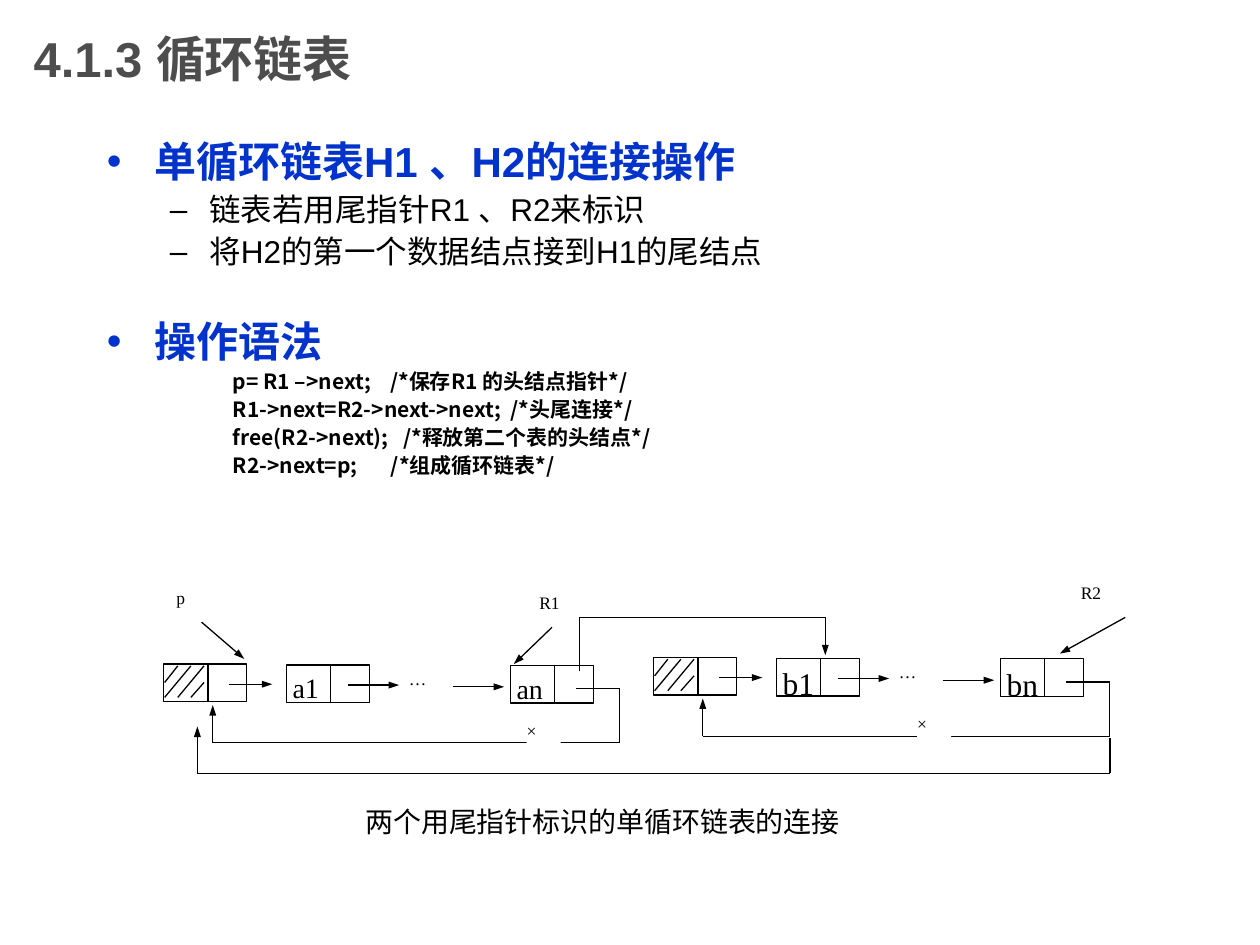
from itertools import pairwise

from pptx import Presentation
from pptx.dml.color import RGBColor
from pptx.enum import shapes as kinds, text as txt
from pptx.oxml import ns
from pptx.util import Pt
from lxml import etree

COLORS = {"title": "4D4D4D", "head": "0033CC", "ink": "000000", "paper": "FFFFFF"}
CJK = "Noto Sans CJK SC"
SERIF = "Times New Roman"

# level: left margin, first-line indent, bullet, space before, text format
LEVELS = [
    (27, -27, "•", 6, dict(size=24, color="head", bold=True)),
    (58.5, -22.5, "–", 4.5, dict(size=18)),
    (90, -18, None, 3, dict(size=12, font=CJK, bold=True)),
]
LINES = [
    (0, "单循环链表H1 、H2的连接操作"),
    (1, "链表若用尾指针R1 、R2来标识"),
    (1, "将H2的第一个数据结点接到H1的尾结点"),
    (0, "操作语法"),
    (2, "p= R1 –>next;    /*保存R1 的头结点指针*/"),
    (2, "R1->next=R2->next->next;  /*头尾连接*/"),
    (2, "free(R2->next);   /*释放第二个表的头结点*/"),
    (2, "R2->next=p;       /*组成循环链表*/"),
]
GAP = 29  # space between the two sections
NODE_W, NODE_H, SPLIT = 47.5, 21.5, 25.2


def rgb(name):
    return RGBColor.from_string(COLORS[name])


def write(para, words, size=10, font="Arial", color="ink", bold=False):
    run = para.add_run()
    run.text = words
    face = run.font
    face.size, face.name, face.bold = Pt(size), font, bold
    face.color.rgb = rgb(color)
    etree.SubElement(run.element if hasattr(run, "element") else run._r.rPr,
                     ns.qn("a:ea"), typeface=CJK)


def label(group, words, x, y, w, h, **form):
    box = group.add_textbox(Pt(x), Pt(y), Pt(w), Pt(h))
    box.fill.solid()
    box.fill.fore_color.rgb = rgb("paper")
    frame = box.text_frame
    frame.word_wrap = True
    frame.margin_left = frame.margin_right = 0
    frame.margin_top = frame.margin_bottom = 0
    write(frame.paragraphs[0], words, font=SERIF, **form)


def link(group, *points, arrow=False):
    """Join the points with straight lines; the last may carry an arrowhead."""
    for start, end in pairwise(points):
        line = group.add_connector(kinds.MSO_CONNECTOR.STRAIGHT,
                                   *map(Pt, (*start, *end)))
        line.line.width = Pt(0.75)
        line.line.color.rgb = rgb("ink")
        props = line.element.spPr
        if arrow and end == points[-1]:
            etree.SubElement(props.find(ns.qn("a:ln")), ns.qn("a:tailEnd"),
                             type="triangle", w="sm", len="med")
        etree.SubElement(props, ns.qn("a:effectLst"))


def node(group, x, y, words=None, size=16):
    box = group.add_shape(kinds.MSO_SHAPE.RECTANGLE,
                          Pt(x), Pt(y), Pt(NODE_W), Pt(NODE_H))
    box.shadow.inherit = False
    box.fill.solid()
    box.fill.fore_color.rgb = rgb("paper")
    box.line.color.rgb = rgb("ink")
    box.line.width = Pt(0.75)
    if words:
        label(group, words, x + 3.6, y + 3.4, 20, 16, size=size)
    link(group, (x + SPLIT, y), (x + SPLIT, y + NODE_H))


def hatch(group, x, y):
    left, one, two, right = (x + d for d in (0.5, 8, 15.5, 23))
    top, mid, low = (y + d for d in (1, 10.5, 19))
    for start, end in [((left, mid), (one, top)), ((left, low), (two, top)),
                       ((one, low), (right, top)), ((two, low), (right, mid))]:
        link(group, start, end)


def ring(group, x, y, first, last, size, cross):
    """Circular list: head node, first node, dots, last node and way back."""
    node(group, x, y)
    hatch(group, x, y)
    node(group, x + 70, y + 0.5, first, size)
    node(group, x + 198, y + 0.7, last, size)
    for start, end, drop in [(37, 62, 11.5), (105, 134.5, 12), (165, 194.5, 13)]:
        link(group, (x + start, y + drop), (x + end, y + drop), arrow=True)
    label(group, "…", x + 140, y + 2, 25, 21)
    link(group, (x + 235.5, y + 14), (x + 260.5, y + 14), (x + 260.5, y + 45),
         (x + 28, y + 45), (x + 28, y + 23.5), arrow=True)
    label(group, "×", x + cross, y + 31.7, 19.4, 25)


def diagram(slide, x, y):
    group = slide.shapes.add_group_shape().shapes
    ring(group, x, y + 44, "a1", "an", 16, 207.4)
    ring(group, x + 280, y + 40.2, "b1", "bn", 18, 150.5)
    for words, dx, dy in [("p", 7.2, 0), ("R1", 214.6, 3), ("R2", 524, -3)]:
        label(group, words, x + dx, y + dy, 22, 16)
    paths = [
        [(21.6, 20), (46, 41)],
        [(221.8, 23), (200, 44)],
        [(549.4, 17.3), (512, 38)],
        [(237.6, 48.2), (237.6, 17.3), (378, 17.3), (378, 39)],
        [(540.7, 86.4), (540.7, 106.5), (19.2, 106.5), (19.2, 79.7)],
    ]
    for route in paths:
        link(group, *((x + dx, y + dy) for dx, dy in route), arrow=True)
    label(group, "两个用尾指针标识的单循环链表的连接", x + 115.2, y + 124, 275, 21, size=16)


def heading(slide, x, y, w, h):
    title = slide.shapes.title
    title.left, title.top, title.width, title.height = map(Pt, (x, y, w, h))
    frame = title.text_frame
    frame.vertical_anchor = txt.MSO_ANCHOR.MIDDLE
    para = frame.paragraphs[0]
    para.alignment = txt.PP_ALIGN.LEFT
    write(para, "4.1.3 循环链表", size=28, color="title", bold=True)


def outline(slide, x, y, w, h):
    frame = slide.shapes.add_textbox(*map(Pt, (x, y, w, h))).text_frame
    frame.word_wrap = True
    for i, (level, words) in enumerate(LINES):
        margin, indent, mark, before, form = LEVELS[level]
        para = frame.add_paragraph() if i else frame.paragraphs[0]
        para.level = level
        para.line_spacing = 0.9
        if i:
            new = level == 0
            para.space_before = Pt(GAP if new else before)
        props = para._p.get_or_add_pPr()
        props.set("marL", str(Pt(margin)))
        props.set("indent", str(Pt(indent)))
        if mark:
            etree.SubElement(props, ns.qn("a:buFont"), typeface="Arial")
            etree.SubElement(props, ns.qn("a:buChar"), char=mark)
        else:
            etree.SubElement(props, ns.qn("a:buNone"))
        write(para, words, **form)


def main():
    deck = Presentation()
    deck.slide_width, deck.slide_height = Pt(720), Pt(540)
    slide = deck.slides.add_slide(deck.slide_layouts[5])
    heading(slide, 12, 0, 540, 66)
    outline(slide, 54, 77, 641, 255)
    diagram(slide, 93.6, 335.5)
    deck.save("out.pptx")


if __name__ == "__main__":
    main()
